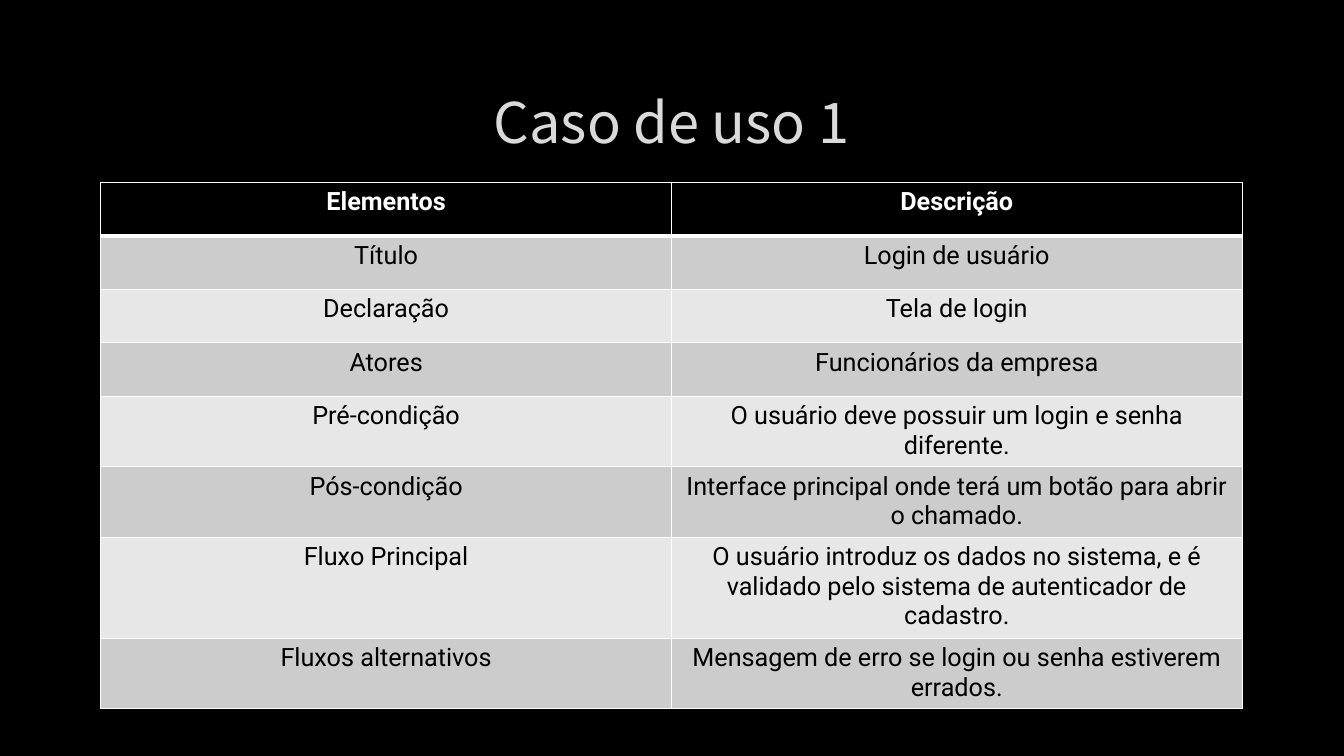
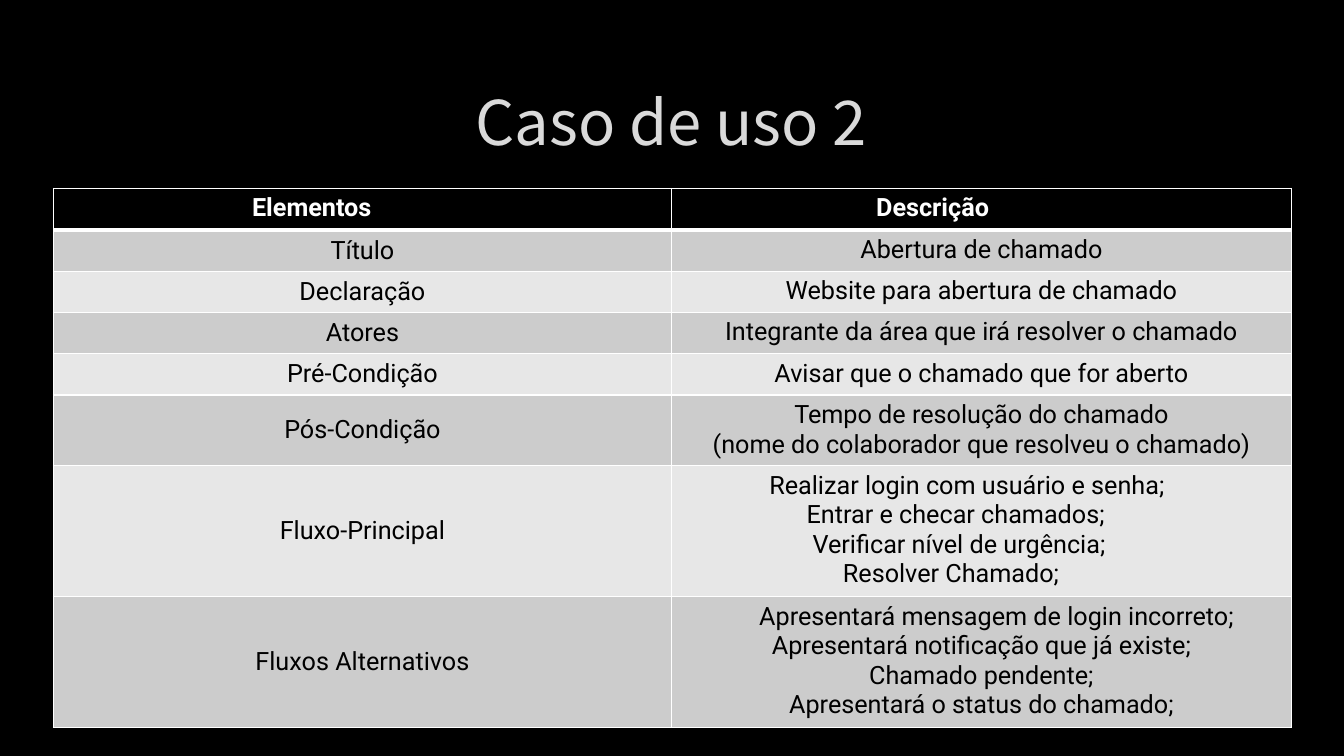
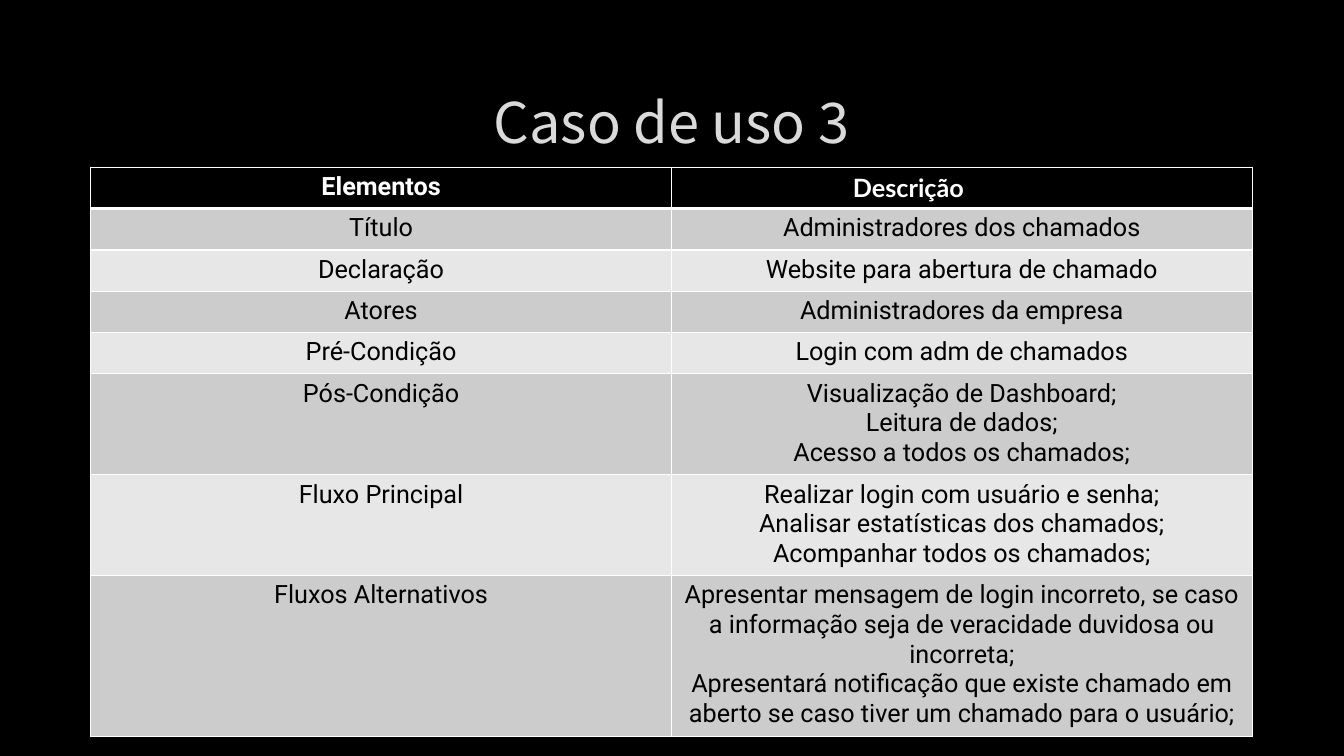
from dataclasses import dataclass

from lxml.etree import SubElement
from pptx import Presentation
from pptx.dml.color import RGBColor
from pptx.enum.text import MSO_ANCHOR, PP_ALIGN
from pptx.oxml import parse_xml
from pptx.oxml.ns import nsdecls, qn
from pptx.util import Inches, Pt


@dataclass(frozen=True)
class Theme:
    background: str = "000000"
    title: str = "DADADA"
    title_outline: str = "404040"
    header_fill: str = "000000"
    header_text: str = "FFFFFF"
    body_text: str = "000000"
    bands: tuple = ("CCCCCC", "E7E7E7")
    border: str = "FFFFFF"
    title_font: str = "Noto Sans CJK TC"
    body_font: str = "Roboto"
    accent_font: str = "Lato"
    body_size: int = 18
    border_width: int = 1
    header_rule: int = 3


THEME = Theme()


@dataclass(frozen=True)
class Line:
    """One paragraph of a cell; indent is in inches."""
    text: str
    indent: float = 0
    align: PP_ALIGN = PP_ALIGN.CENTER
    font: str = THEME.body_font


def left(text, indent, font=THEME.body_font):
    return Line(text, indent, PP_ALIGN.LEFT, font)


USE_CASES = [
    {
        "title": "Caso de uso 1", "title_size": 40,
        "origin": (1, 1.81), "columns": (5.66, 5.66), "row_height": 0.53,
        "label_anchor": MSO_ANCHOR.TOP,
        "rows": [
            ("Elementos", ["Descrição"]),
            ("Título", ["Login de usuário"]),
            ("Declaração", ["Tela de login"]),
            ("Atores", ["Funcionários da empresa"]),
            ("Pré-condição", ["O usuário deve possuir um login e senha diferente."]),
            ("Pós-condição", ["Interface principal onde terá um botão para abrir o chamado."]),
            ("Fluxo Principal", ["O usuário introduz os dados no sistema, e é validado "
                                 "pelo sistema de autenticador de cadastro."]),
            ("Fluxos alternativos", ["Mensagem de erro se login ou senha estiverem errados."]),
        ],
    },
    {
        "title": "Caso de uso 2", "title_size": 44,
        "origin": (0.53, 1.87), "columns": (6.13, 6.15), "row_height": 0.41,
        "label_anchor": MSO_ANCHOR.MIDDLE,
        "rows": [
            (left("Elementos", 1.87), [left("Descrição", 1.93)]),
            ("Título", ["Abertura de chamado"]),
            ("Declaração", ["Website para abertura de chamado"]),
            ("Atores", ["Integrante da área que irá resolver o chamado"]),
            ("Pré-Condição", ["Avisar que o chamado que for aberto"]),
            ("Pós-Condição", ["Tempo de resolução do chamado",
                              "(nome do colaborador que resolveu o chamado)"]),
            ("Fluxo-Principal", [left("Realizar login com usuário e senha;", 0.87),
                                 left("Entrar e checar chamados;", 1.24),
                                 left("Verificar nível de urgência;", 1.3),
                                 left("Resolver Chamado;", 1.6)]),
            ("Fluxos Alternativos", [Line("Apresentará mensagem de login incorreto;", 0.3),
                                     "Apresentará notificação que já existe;",
                                     "Chamado pendente;",
                                     "Apresentará o status do chamado;"]),
        ],
    },
    {
        "title": "Caso de uso 3", "title_size": 40,
        "origin": (0.9, 1.66), "columns": (5.76, 5.76), "row_height": 0.41,
        "label_anchor": MSO_ANCHOR.TOP,
        "rows": [
            ("Elementos", [left("Descrição", 1.7, THEME.accent_font)]),
            ("Título", ["Administradores dos chamados"]),
            ("Declaração", ["Website para abertura de chamado"]),
            ("Atores", ["Administradores da empresa"]),
            ("Pré-Condição", ["Login com adm de chamados"]),
            ("Pós-Condição", ["Visualização de Dashboard;", "Leitura de dados;",
                              "Acesso a todos os chamados;"]),
            ("Fluxo Principal", ["Realizar login com usuário e senha;",
                                 "Analisar estatísticas dos chamados;",
                                 "Acompanhar todos os chamados;"]),
            ("Fluxos Alternativos", [
                "Apresentar mensagem de login incorreto, se caso a informação seja "
                "de veracidade duvidosa ou incorreta;",
                "Apresentará notificação que existe chamado em aberto se caso tiver "
                "um chamado para o usuário;"]),
        ],
    },
]


def set_font(font, name, size, color, bold=False):
    font.name, font.size, font.bold = name, Pt(size), bold
    font.color.rgb = RGBColor.from_string(color)


def add_title(slide, text, size):
    box = slide.shapes.add_textbox(Inches(1), Inches(0.67), Inches(11.32), Inches(1.06))
    frame = box.text_frame
    frame.word_wrap = True
    frame.vertical_anchor = MSO_ANCHOR.MIDDLE
    heading = frame.paragraphs[0]
    heading.text = text
    heading.alignment = PP_ALIGN.CENTER
    set_font(heading.font, THEME.title_font, size, THEME.title)
    outline = parse_xml(
        f'<a:ln {nsdecls("a")} w="{Pt(0.75)}"><a:solidFill>'
        f'<a:srgbClr val="{THEME.title_outline}"><a:alpha val="10000"/></a:srgbClr>'
        '</a:solidFill><a:prstDash val="solid"/></a:ln>')
    heading.runs[0].font.language_id = None
    heading._p.pPr.find(qn("a:defRPr")).insert(0, outline)


def write_lines(cell, lines, color, bold):
    frame = cell.text_frame
    for number, line in enumerate(lines):
        if isinstance(line, str):
            line = Line(line)
        paragraph = frame.add_paragraph() if number else frame.paragraphs[0]
        paragraph.text = line.text
        paragraph.alignment = line.align
        set_font(paragraph.font, line.font, THEME.body_size, color, bold)
        if line.indent:
            paragraph._p.pPr.set("marL", str(Inches(line.indent)))


def set_borders(cell, widths):
    """Draw the sides named in widths (L, R, T, B), each in points."""
    properties = cell._tc.get_or_add_tcPr()
    for position, (side, width) in enumerate(widths.items()):
        border = SubElement(properties, qn(f"a:ln{side}"), w=str(Pt(width)))
        fill = SubElement(border, qn("a:solidFill"))
        SubElement(fill, qn("a:srgbClr"), val=THEME.border)
        properties.insert(position, border)


def add_use_case_table(slide, case):
    rows, columns = case["rows"], case["columns"]
    heights = [Inches(max(case["row_height"], 0.1 + 0.29 * len(lines))) for _, lines in rows]
    x, y = case["origin"]
    table = slide.shapes.add_table(len(rows), len(columns), Inches(x), Inches(y),
                                   Inches(sum(columns)), sum(heights)).table
    for column, width in zip(table.columns, columns):
        column.width = Inches(width)
    for index, (label, description) in enumerate(rows):
        table.rows[index].height = heights[index]
        header = index == 0
        fill = THEME.header_fill if header else THEME.bands[(index - 1) % 2]
        color = THEME.header_text if header else THEME.body_text
        widths = dict.fromkeys("LRTB", THEME.border_width)
        if header:
            widths["B"] = THEME.header_rule
        elif index == 1:
            widths["T"] = THEME.header_rule
        for cell, lines in zip(table.rows[index].cells, ([label], description)):
            cell.fill.solid()
            cell.fill.fore_color.rgb = RGBColor.from_string(fill)
            set_borders(cell, widths)
            write_lines(cell, lines, color, header)
        if not header:
            table.cell(index, 0).vertical_anchor = case["label_anchor"]


def main():
    deck = Presentation()
    deck.slide_width, deck.slide_height = Inches(13.33), Inches(7.5)
    backdrop = deck.slide_master.background.fill
    backdrop.solid()
    backdrop.fore_color.rgb = RGBColor.from_string(THEME.background)
    for case in USE_CASES:
        slide = deck.slides.add_slide(deck.slide_layouts[6])
        add_title(slide, case["title"], case["title_size"])
        add_use_case_table(slide, case)
    deck.save("out.pptx")


if __name__ == "__main__":
    main()
